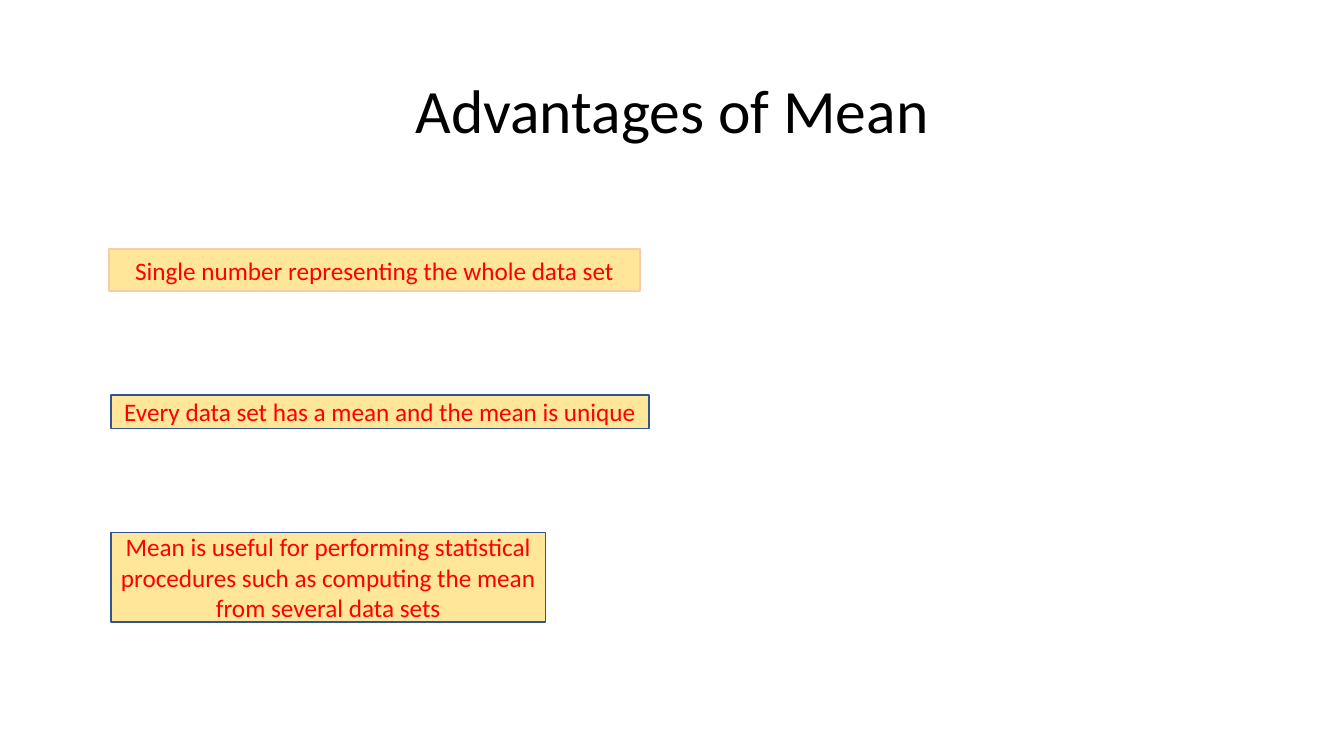
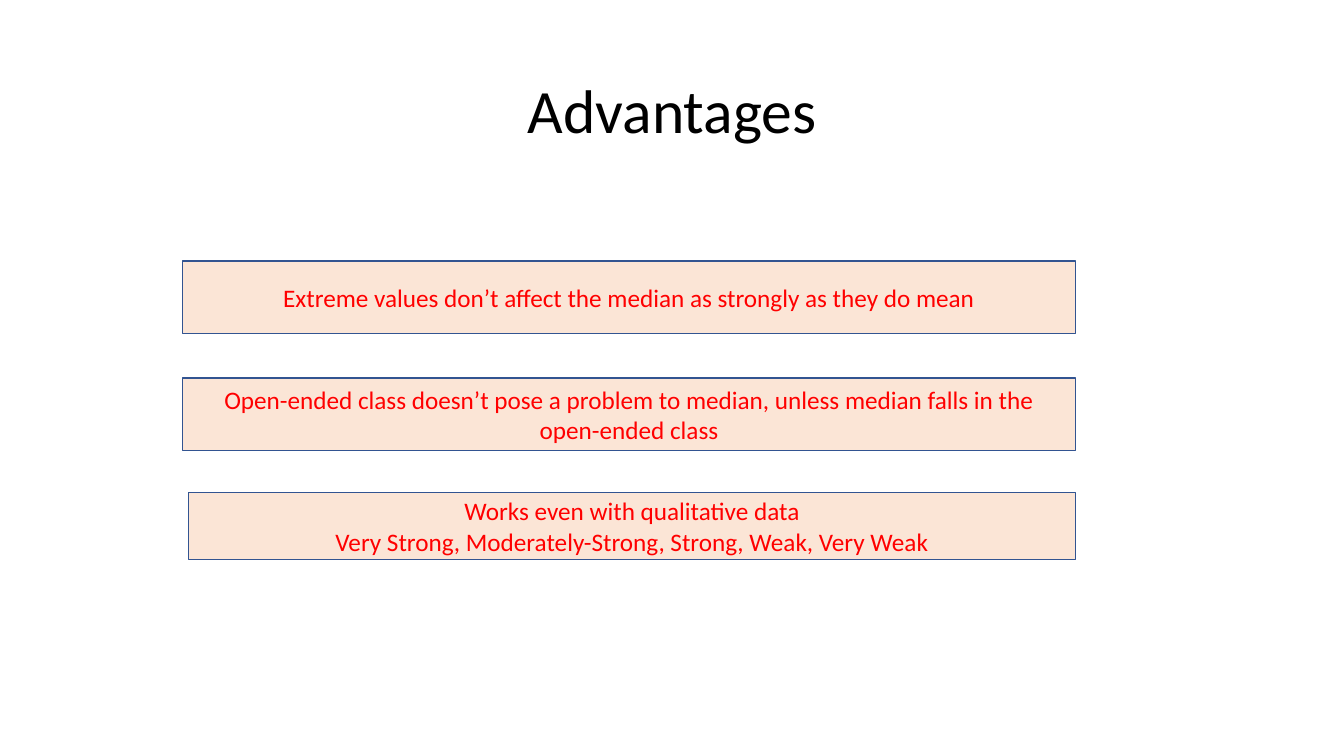
from pptx import Presentation
from pptx import util as u
from pptx.dml import color
from pptx.enum import shapes, text

COLORS = {
    "title": "000000",
    "text": "FF0000",
    "yellow": "FFE699",
    "peach": "FBE5D6",
    "blue": "325491",
    "salmon": "F8CBAD",
}


def rgb(name):
    return color.RGBColor.from_string(COLORS[name])


class Deck:
    """Holds the shared style and the current slide."""

    font = "Calibri"
    title_size = 44
    text_size = 18
    title_area = (66.2, 28.8, 828, 104.4)

    def __init__(self):
        self.presentation = Presentation()
        self.presentation.slide_width = u.Pt(960)
        self.presentation.slide_height = u.Pt(540)
        self.slide = None

    def add_lines(self, frame, lines, size, color_name):
        frame.word_wrap = True
        frame.auto_size = text.MSO_AUTO_SIZE.NONE
        frame.vertical_anchor = text.MSO_ANCHOR.MIDDLE
        for index, line in enumerate(lines):
            paragraph = frame.add_paragraph() if index else frame.paragraphs[0]
            paragraph.alignment = text.PP_ALIGN.CENTER
            run = paragraph.add_run()
            run.text = line
            run.font.name = self.font
            run.font.size = u.Pt(size)
            run.font.color.rgb = rgb(color_name)

    def add_slide(self, title):
        layout = self.presentation.slide_layouts.get_by_name("Title Only")
        self.slide = self.presentation.slides.add_slide(layout)
        shape = self.slide.shapes.title
        shape.left, shape.top, shape.width, shape.height = map(u.Pt, self.title_area)
        self.add_lines(shape.text_frame, [title], self.title_size, "title")
        shape.text_frame.paragraphs[0].line_spacing = 0.9

    def add_box(self, area, fill, *lines, outline="blue"):
        shape = self.slide.shapes.add_shape(
            shapes.MSO_SHAPE.RECTANGLE, *map(u.Pt, area))
        shape.shadow.inherit = False
        shape.fill.solid()
        shape.fill.fore_color.rgb = rgb(fill)
        shape.line.color.rgb = rgb(outline)
        shape.line.width = u.Pt(1)
        self.add_lines(shape.text_frame, lines, self.text_size, "text")

    def save(self):
        self.presentation.save("out.pptx")


def main():
    deck = Deck()

    deck.add_slide("Advantages of Mean")
    deck.add_box((77.8, 177.8, 379.5, 30.2), "yellow",
                 "Single number representing the whole data set",
                 outline="salmon")
    deck.add_box((79.2, 282.2, 384.5, 23.8), "yellow",
                 "Every data set has a mean and the mean is unique")
    deck.add_box((79.2, 380.2, 310.5, 64), "yellow",
                 "Mean is useful for performing statistical procedures such as "
                 "computing the mean from several data sets")

    deck.add_slide("Advantages")
    deck.add_box((130.3, 186.5, 638, 51.8), "peach",
                 "Extreme values don’t affect the median as strongly as they do mean")
    deck.add_box((130.3, 270, 638, 51.8), "peach",
                 "Open-ended class doesn’t pose a problem to median, unless "
                 "median falls in the open-ended class")
    deck.add_box((134.7, 352, 633.6, 47.5), "peach",
                 "Works even with qualitative data",
                 "Very Strong, Moderately-Strong, Strong, Weak, Very Weak")

    deck.save()


if __name__ == "__main__":
    main()
